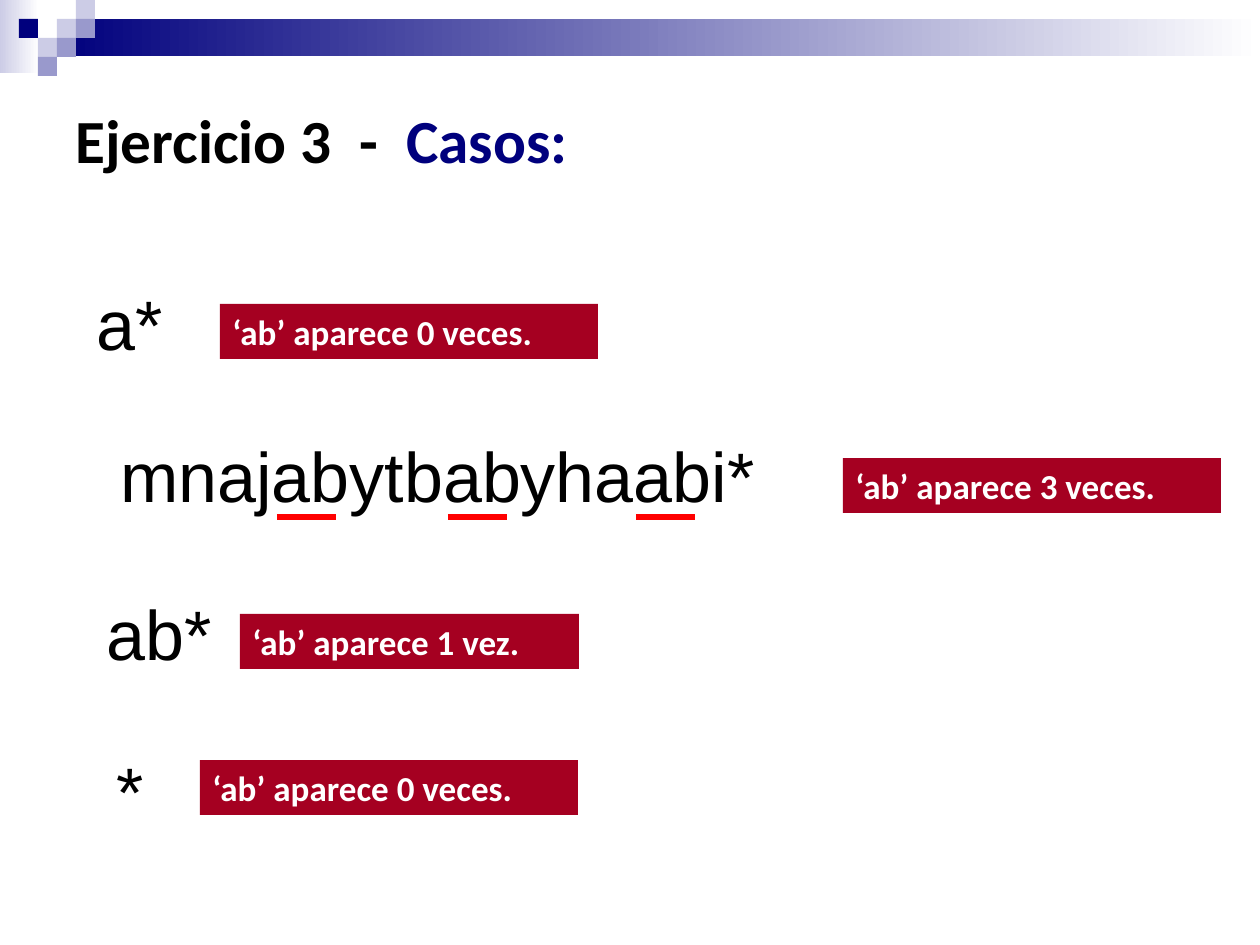
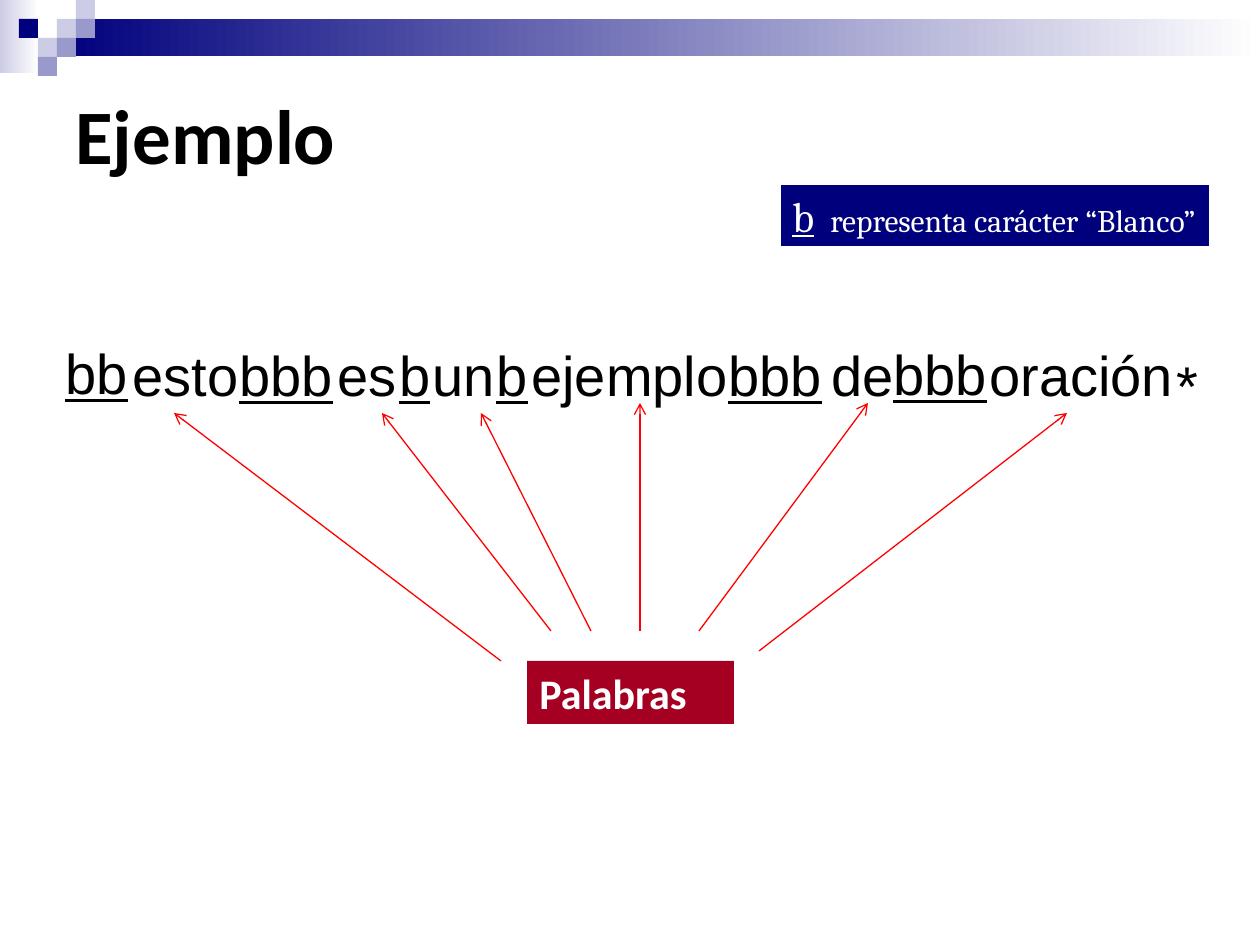
from dataclasses import dataclass

from lxml.etree import SubElement
from pptx import Presentation
from pptx.dml.color import RGBColor as Rgb
from pptx.enum.shapes import MSO_CONNECTOR as Connector, MSO_SHAPE as Preset
from pptx.enum.text import MSO_ANCHOR as Anchor, PP_ALIGN as Align
from pptx.oxml.ns import qn
from pptx.util import Pt


@dataclass(frozen=True)
class Theme:
    navy: str = "00007D"
    lilac: str = "9999CC"
    pale: str = "CCCCE6"
    white: str = "FFFFFF"
    black: str = "000000"
    crimson: str = "A50021"
    red: str = "FF0000"
    heading: str = "Calibri"
    body: str = "Arial"
    legend: str = "Cambria"
    title_size: int = 44
    exercise_size: int = 35
    case_size: int = 40
    word_size: int = 32
    banner_size: int = 24
    verdict_size: int = 20
    note_size: int = 18


T = Theme()
SLIDE_W, SLIDE_H = 1260, 945

# Shared header: colour fades and a mosaic of (column, row, colour) tiles
FADES = [((0, 0, 39, 73), T.pale), ((57, 19, 1203, 37), T.navy)]
TILE = 19
MOSAIC = [
    (3, 1, T.pale), (4, 0, T.pale), (4, 1, T.lilac), (2, 2, T.pale),
    (1, 1, T.navy), (3, 2, T.lilac), (2, 3, T.lilac),
]

# Cases: string and its place, verdict and its place
CASES = [
    ("a*", (84, 274, 110, 97), "‘ab’ aparece 0 veces.", (220, 304, 378, 55)),
    ("mnajabytbabyhaabi*", (108, 426, 745, 97),
     "‘ab’ aparece 3 veces.", (843, 458, 378, 55)),
    ("ab*", (94, 584, 149, 97), "‘ab’ aparece 1 vez.", (240, 614, 339, 55)),
    ("*", (104, 741, 149, 97), "‘ab’ aparece 0 veces.", (200, 760, 378, 55)),
]
MATCH_Y, MATCH_W = 517, 59
MATCHES = [277, 448, 636]

# Sentence: piece, left, width, drop from the common top; b stands for a blank
WORD_TOP, WORD_H = 334, 81
SENTENCE = [
    ("bb", 53, 95, -2), ("esto", 120, 135, 0), ("bbb", 227, 124, 0),
    ("es", 325, 90, 0), ("b", 387, 63, 0), ("un", 420, 93, 0),
    ("b", 484, 63, 0), ("ejemplo", 519, 228, 0), ("bbb", 716, 124, 0),
    ("de", 819, 93, 0), ("bbb", 881, 124, -1), ("oración", 977, 215, 0),
    ("*", 1164, 53, 10),
]
ARROWS = [
    ((759, 651), (1067, 413)), ((699, 631), (868, 403)),
    ((640, 631), (640, 403)), ((591, 631), (481, 413)),
    ((551, 631), (382, 413)), ((501, 661), (174, 413)),
]


def px(length):
    return round(length * 914400 / 126)


def add_runs(box, runs, anchor=Anchor.TOP):
    """Each run is (text, font, size, colour, bold, underline, spacing)."""
    frame = box.text_frame
    frame.word_wrap = True
    frame.vertical_anchor = anchor
    frame.paragraphs[0].alignment = Align.LEFT
    for text, name, size, colour, bold, underline, spacing in runs:
        run = frame.paragraphs[0].add_run()
        run.text = text
        font = run.font
        font.name, font.size, font.bold = name, Pt(size), bold
        font.underline = underline
        font.color.rgb = Rgb.from_string(colour)
        if spacing:
            run._r.get_or_add_rPr().set("spc", str(spacing))


def style(text, name, size, colour, bold=False, underline=False, spacing=0):
    return text, name, size, colour, bold, underline, spacing


def add_text(slide, place, runs, anchor=Anchor.TOP):
    add_runs(slide.shapes.add_textbox(*map(px, place)), runs, anchor)


def add_block(slide, place, colour, fade=False):
    block = slide.shapes.add_shape(Preset.RECTANGLE, *map(px, place))
    block.shadow.inherit = False
    block.line.fill.background()
    if fade:
        block.fill.gradient()
        block.fill.gradient_angle = 0
        for stop, shade in zip(block.fill.gradient_stops, (colour, T.white)):
            stop.color.rgb = Rgb.from_string(shade)
    else:
        block.fill.solid()
        block.fill.fore_color.rgb = Rgb.from_string(colour)
    return block


def add_label(slide, place, colour, runs):
    label = add_block(slide, place, colour)
    add_runs(label, runs)
    return label


def add_line(slide, start, end, width, arrow=False):
    line = slide.shapes.add_connector(
        Connector.STRAIGHT, *map(px, (*start, *end)))
    line.line.color.rgb = Rgb.from_string(T.red)
    line.line.width = Pt(width)
    if arrow:
        SubElement(line.line._get_or_add_ln(), qn("a:tailEnd"), type="arrow")
    SubElement(line._element.spPr, qn("a:effectLst"))


def start_slide(deck, title, height):
    slide = deck.slides.add_slide(deck.slide_layouts[6])
    for place, colour in FADES:
        add_block(slide, place, colour, fade=True)
    for column, row, colour in MOSAIC:
        add_block(slide, (column * TILE, row * TILE, TILE, TILE), colour)
    add_text(slide, (63, 63, 1134, height), title, Anchor.MIDDLE)
    return slide


def build_cases(deck):
    def heading(text, colour=T.black, spacing=0):
        return style(text, T.heading, T.exercise_size, colour, True,
                     spacing=spacing)

    gap = heading(" ", spacing=790)
    slide = start_slide(deck, [heading("Ejercicio 3"), gap, heading("-"), gap,
                               heading("Casos:", T.navy)], 152)
    for string, place, verdict, verdict_place in CASES:
        add_text(slide, place, [style(string, T.body, T.case_size, T.black)])
        add_label(slide, verdict_place, T.crimson, [
            style(verdict, T.heading, T.verdict_size, T.white, True)])
    for left in MATCHES:
        add_line(slide, (left, MATCH_Y), (left + MATCH_W, MATCH_Y), 3)


def build_example(deck):
    slide = start_slide(deck, [
        style("Ejemplo", T.heading, T.title_size, T.black, True)], 141)

    # Sentence with underlined blanks
    for piece, left, width, drop in SENTENCE:
        is_blank = set(piece) == {"b"}
        add_text(slide, (left, WORD_TOP + drop, width, WORD_H), [
            style(piece, T.body, T.word_size, T.black, underline=is_blank)])

    # Legend and word label
    legend = add_label(slide, (780, 184, 430, 63), T.navy, [
        style("b", T.legend, T.banner_size, T.white, underline=True),
        style(" ", T.legend, T.banner_size, T.white, spacing=390),
        style("representa carácter “Blanco”", T.legend, T.note_size, T.white),
    ])
    legend.line.color.rgb = Rgb.from_string(T.white)
    legend.line.width = Pt(0.75)
    add_label(slide, (527, 661, 207, 63), T.crimson, [
        style("Palabras", T.heading, T.banner_size, T.white, True)])
    for start, end in ARROWS:
        add_line(slide, start, end, 0.75, arrow=True)


def main():
    deck = Presentation()
    deck.slide_width, deck.slide_height = px(SLIDE_W), px(SLIDE_H)
    build_cases(deck)
    build_example(deck)
    deck.save("out.pptx")


if __name__ == "__main__":
    main()
